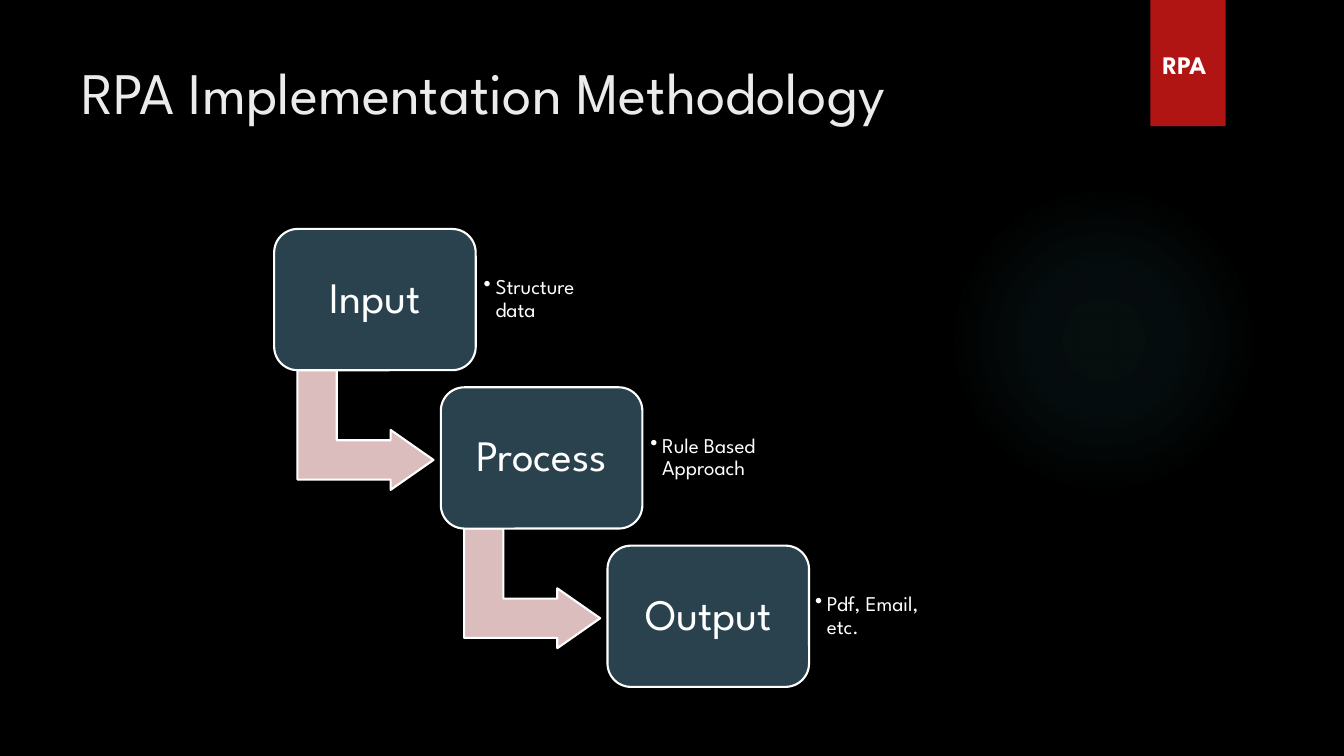
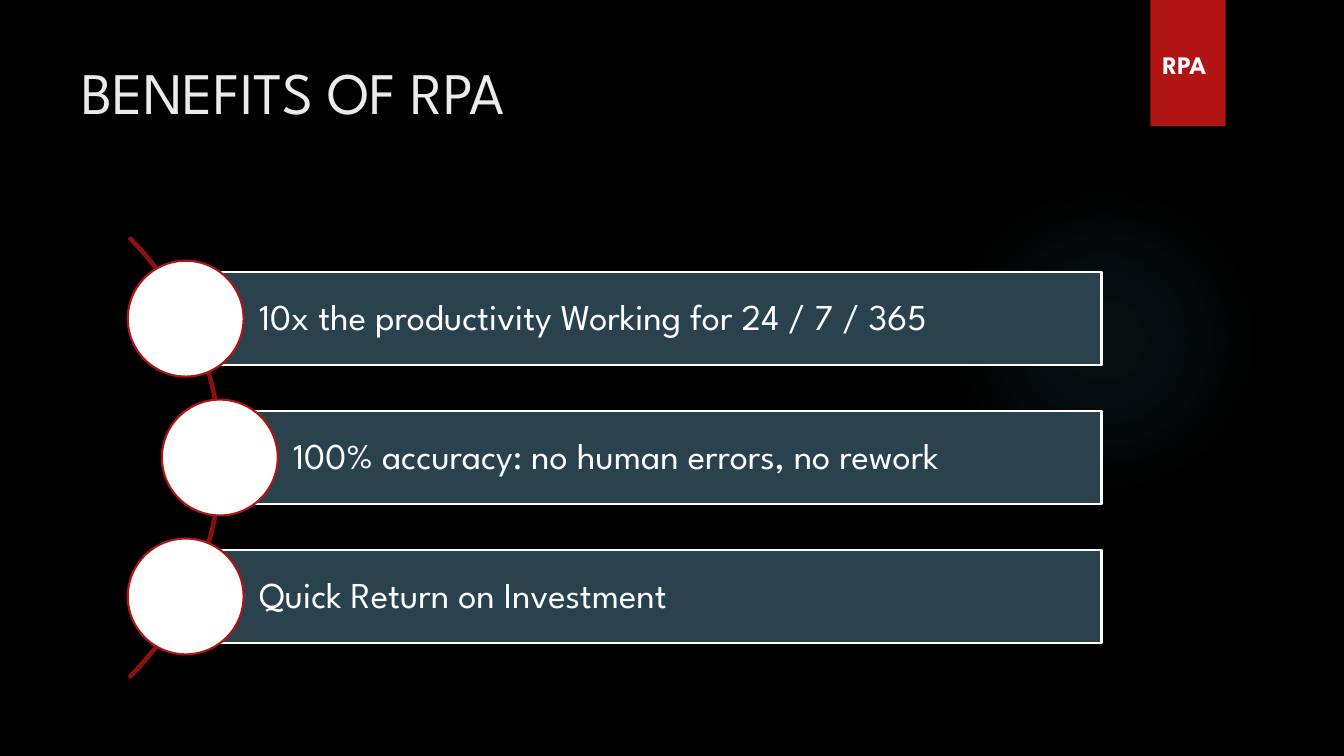
from lxml.etree import SubElement
from pptx import Presentation
from pptx.dml.color import RGBColor
from pptx.enum.shapes import MSO_SHAPE
from pptx.enum.text import MSO_ANCHOR, PP_ALIGN
from pptx.oxml import parse_xml
from pptx.oxml.ns import nsdecls, qn
from pptx.util import Cm, Pt

FONT = "League Spartan"
BLACK = "000000"
WHITE = "FFFFFF"
TITLE_GREY = "EBEBEB"
RED = "B01513"
DARK_RED = "8D110F"
SLATE = "2A424D"
PINK = "DCBDBD"
GLOW = "50B9C1"
GLOW_STOPS = [(0, 7), (36, 6), (69, 0)]  # position and opacity, percent

STEPS = [
    ("Input", "Structure data", 0.2),
    ("Process", "Rule Based Approach", 0.2),
    ("Output", "Pdf, Email, etc.", 0.15),
]
BENEFITS = [
    "10x the productivity Working for 24 / 7 / 365",
    "100% accuracy: no human errors, no rework",
    "Quick Return on Investment",
]


def rgb(value):
    return RGBColor.from_string(value)


def add_shape(slide, kind, box, fill=None, line=None):
    """Add a flat preset shape; box is left, top, width, height in cm."""
    shape = slide.shapes.add_shape(kind, *map(Cm, box))
    shape.shadow.inherit = False
    if fill:
        shape.fill.solid()
        shape.fill.fore_color.rgb = rgb(fill)
    else:
        shape.fill.background()
    if line:
        shape.line.color.rgb = rgb(line)
        shape.line.width = Pt(1.5)
    else:
        shape.line.fill.background()
    return shape


def write(shape, text, size, color=WHITE, bold=False, align=PP_ALIGN.LEFT,
          anchor=MSO_ANCHOR.MIDDLE, insets=(0.25, 0.13, 0.25, 0.13), spacing=0.9):
    """Set one styled paragraph; insets are left, top, right, bottom in cm."""
    frame = shape.text_frame
    frame.text = text
    frame.word_wrap = True
    frame.vertical_anchor = anchor
    (frame.margin_left, frame.margin_top,
     frame.margin_right, frame.margin_bottom) = map(Cm, insets)
    paragraph = frame.paragraphs[0]
    paragraph.alignment = align
    paragraph.line_spacing = spacing
    font = paragraph.runs[0].font
    font.name, font.size, font.bold = FONT, Pt(size), bold
    font.color.rgb = rgb(color)
    return paragraph


def add_text(slide, box, text, size, **style):
    return write(slide.shapes.add_textbox(*map(Cm, box)), text, size, **style)


def add_bullet(paragraph, indent):
    properties = paragraph._p.get_or_add_pPr()
    properties.set("marL", str(Cm(indent)))
    properties.set("indent", str(-Cm(indent)))
    SubElement(properties, qn("a:buChar")).set("char", "•")


def add_glow(slide, box):
    glow = add_shape(slide, MSO_SHAPE.OVAL, box)
    stops = "".join(
        f'<a:gs pos="{position * 1000}"><a:srgbClr val="{GLOW}">'
        f'<a:alpha val="{opacity * 1000}"/></a:srgbClr></a:gs>'
        for position, opacity in GLOW_STOPS)
    gradient = parse_xml(
        f'<a:gradFill {nsdecls("a")}><a:gsLst>{stops}</a:gsLst><a:path path="circle">'
        '<a:fillToRect l="50000" t="50000" r="50000" b="50000"/></a:path></a:gradFill>')
    properties = glow._element.spPr
    properties.replace(properties.find(qn("a:noFill")), gradient)


def add_base_slide(prs, title):
    """Add a blank slide with the glow, the red ribbon and the title."""
    slide = prs.slides.add_slide(prs.slide_layouts[6])
    add_glow(slide, (23.9, 4.65, 7.82, 7.82))
    add_shape(slide, MSO_SHAPE.RECTANGLE, (28.99, 0, 1.9, 3.18), RED)
    heading = dict(anchor=MSO_ANCHOR.TOP, spacing=1)
    add_text(slide, (1.8, 1.27, 26.14, 3.89), title, 42, color=TITLE_GREY, **heading)
    add_text(slide, (29.05, 1.12, 1.8, 1.02), "RPA", 18, bold=True, **heading)
    return slide


def add_step_arrow(slide, left, top):
    arrow = add_shape(slide, MSO_SHAPE.BENT_UP_ARROW, (left, top, 3.02, 3.43), PINK, WHITE)
    arrow.rotation = 90
    for index, value in enumerate((0.328, 0.25, 0.358)):
        arrow.adjustments[index] = value


def add_staircase(slide, left, top):
    """Place the steps downwards to the right, joined by bent arrows."""
    width, height = 5.08, 3.56
    step_x, step_y = 4.2, 3.99
    for index, (name, detail, inset) in enumerate(STEPS):
        x, y = left + index * step_x, top + index * step_y
        if index < len(STEPS) - 1:
            add_step_arrow(slide, x + 0.79, y + 3.35)
        step = add_shape(slide, MSO_SHAPE.ROUNDED_RECTANGLE, (x, y, width, height), SLATE, WHITE)
        write(step, name, 31, align=PP_ALIGN.CENTER)
        note = add_text(slide, (x + width, y + 0.34, 3.68, 2.87), detail, 15,
                        insets=(inset,) * 4)
        add_bullet(note, 0.3)


def add_benefit_bars(slide, left, top, right):
    """Place bars with a circle on each left end, strung along an arc."""
    height, pitch, bulge = 2.34, 3.5, 0.86
    circle, arc = 2.92, 15.7
    middle = (len(BENEFITS) - 1) / 2
    arc_top = top + middle * pitch + (height - arc) / 2
    curve = add_shape(slide, MSO_SHAPE.BLOCK_ARC,
                      (left + bulge + 0.05 - arc, arc_top, arc, arc), line=DARK_RED)
    for index, value in enumerate((189, 27, 0.004)):
        curve.adjustments[index] = value
    for index, benefit in enumerate(BENEFITS):
        x = left + (bulge if index == middle else 0)
        y = top + index * pitch
        bar = add_shape(slide, MSO_SHAPE.RECTANGLE, (x, y, right - x, height), SLATE, WHITE)
        write(bar, benefit, 26, insets=(1.85, 0.18, 0.18, 0.18))
        add_shape(slide, MSO_SHAPE.OVAL,
                  (x - circle / 2, y + (height - circle) / 2, circle, circle), WHITE, RED)


def main():
    prs = Presentation()
    prs.slide_width, prs.slide_height = Cm(33.87), Cm(19.05)
    background = prs.slide_master.background.fill
    background.solid()
    background.fore_color.rgb = rgb(BLACK)

    add_staircase(add_base_slide(prs, "RPA Implementation Methodology"), 6.91, 5.77)
    add_benefit_bars(add_base_slide(prs, "BENEFITS OF RPA"), 4.68, 6.86, 27.76)
    prs.save("out.pptx")


if __name__ == "__main__":
    main()
